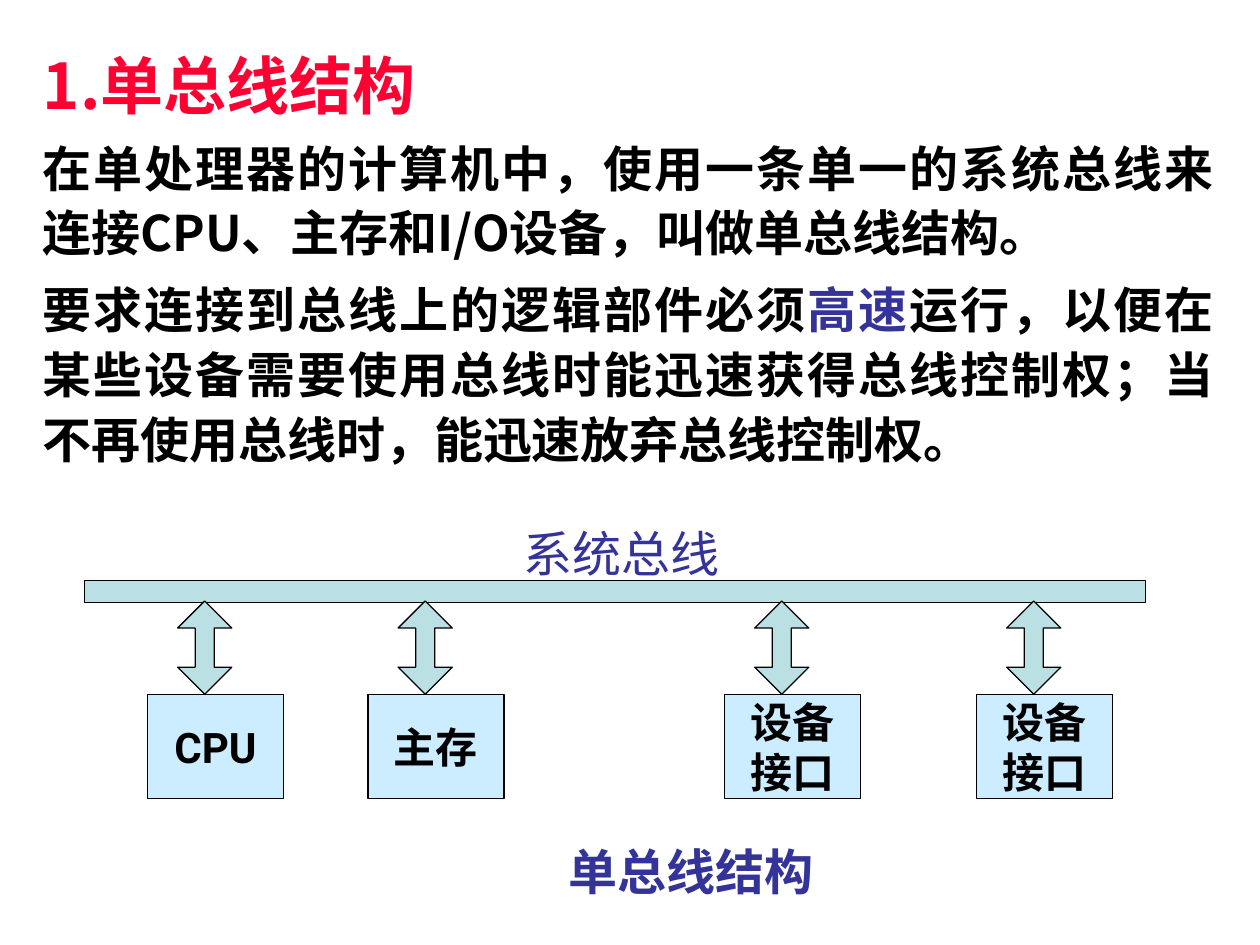
from lxml.etree import SubElement
from pptx import Presentation
from pptx.dml.color import RGBColor
from pptx.enum.shapes import MSO_SHAPE as SHAPE
from pptx.enum.text import MSO_ANCHOR as ANCHOR, PP_ALIGN as ALIGN
from pptx.oxml.ns import qn
from pptx.util import Inches, Pt

COLORS = {
    "title": "FF0033",
    "text": "000000",
    "accent": "333399",
    "bus": "BBE0E3",
    "device": "CCECFF",
    "line": "000000",
}
CJK, LATIN = "Noto Sans CJK SC", "Roboto"
FORMATS = {
    "title": {"name": CJK, "size": Pt(36), "bold": True},
    "body": {"name": CJK, "size": Pt(28), "bold": True},
    "device": {"name": LATIN, "size": Pt(24), "bold": True},
    "caption": {"name": LATIN, "size": Pt(28), "bold": True},
    "label": {"name": LATIN, "size": Pt(28), "bold": False},
}
LINE_PITCH = {"title": 48, "body": 37, "device": 29, "caption": 37, "label": 37}


class SlideBuilder:
    def __init__(self, prs):
        self.s = prs.slides.add_slide(prs.slide_layouts[5])

    def fill_text(self, sp, paragraphs, style, align=ALIGN.LEFT, anchor=ANCHOR.TOP,
                  wrap=True, gap=0):
        tf = sp.text_frame
        frame = {
            "word_wrap": wrap, "vertical_anchor": anchor,
            "margin_left": Inches(0.1), "margin_right": Inches(0.1),
            "margin_top": Inches(0.05), "margin_bottom": Inches(0.05),
        }
        for key, value in frame.items():
            setattr(tf, key, value)
        for i, runs in enumerate(paragraphs):
            p = tf.add_paragraph() if i else tf.paragraphs[0]
            p.alignment = align
            p.line_spacing = Pt(LINE_PITCH[style])
            p.space_before = Pt(gap if i else 0)
            for text, color in runs:
                r = p.add_run()
                r.text = text
                for key, value in FORMATS[style].items():
                    setattr(r.font, key, value)
                r.font.color.rgb = RGBColor.from_string(COLORS[color])
                SubElement(r._r.get_or_add_rPr(), qn("a:ea"), typeface=CJK)

    def title(self, text, left, top, width, height):
        sp = self.s.shapes.title
        box = {"left": left, "top": top, "width": width, "height": height}
        for key, value in box.items():
            setattr(sp, key, Inches(value))
        self.fill_text(sp, [[(text, "title")]], "title")

    def text(self, paragraphs, left, top, width, height, style, **layout):
        sp = self.s.shapes.add_textbox(*map(Inches, (left, top, width, height)))
        self.fill_text(sp, paragraphs, style, **layout)
        return sp

    def shape(self, kind, left, top, width, height, fill):
        sp = self.s.shapes.add_shape(kind, *map(Inches, (left, top, width, height)))
        sp.shadow.inherit = False
        sp.fill.solid()
        sp.fill.fore_color.rgb = RGBColor.from_string(COLORS[fill])
        sp.line.color.rgb = RGBColor.from_string(COLORS["line"])
        sp.line.width = Pt(0.75)
        return sp

    def bus_arrow(self, left, top, width, height):
        sp = self.shape(SHAPE.UP_DOWN_ARROW, left, top, width, height, "bus")
        sp.adjustments[0] = 0.5
        sp.adjustments[1] = 0.35

    def device(self, lines, left, top, width, height):
        sp = self.shape(SHAPE.FLOWCHART_PROCESS, left, top, width, height, "device")
        self.fill_text(sp, [[(line, "text")] for line in lines], "device",
                       align=ALIGN.CENTER, anchor=ANCHOR.MIDDLE, wrap=False)


def main():
    prs = Presentation()
    prs.slide_width, prs.slide_height = Inches(10), Inches(7.5)
    b = SlideBuilder(prs)

    b.title("1.单总线结构", 0.24, 0.25, 9.49, 0.75)
    b.text([
        [("在单处理器的计算机中，使用一条单一的系统总线来连接CPU、主存和I/O设备，叫做单总线结构。", "text")],
        [("要求连接到总线上的逻辑部件必须", "text"),
         ("高速", "accent"),
         ("运行，以便在某些设备需要使用总线时能迅速获得总线控制权；当不再使用总线时，能迅速放弃总线控制权。", "text")],
    ], 0.24, 1, 9.49, 3.06, "body", align=ALIGN.JUSTIFY, gap=7)

    b.shape(SHAPE.RECTANGLE, 0.67, 4.61, 8.42, 0.17, "bus")
    devices = [
        (1.17, ["CPU"]),
        (2.92, ["主存"]),
        (5.75, ["设备", "接口"]),
        (7.75, ["设备", "接口"]),
    ]
    for left, lines in devices:
        b.bus_arrow(left + 0.24, 4.77, 0.43, 0.74)
        b.device(lines, left, 5.51, 1.08, 0.83)

    caption = b.text([[("单总线结构", "accent")]], 1.46, 6.51, 7.17, 0.75,
                     "caption", align=ALIGN.CENTER, anchor=ANCHOR.MIDDLE)
    caption.text_frame.margin_left = Inches(0.98)
    b.text([[("系统总线", "accent")]], 4.06, 4.06, 2.67, 0.57, "label")

    prs.save("out.pptx")


if __name__ == "__main__":
    main()
